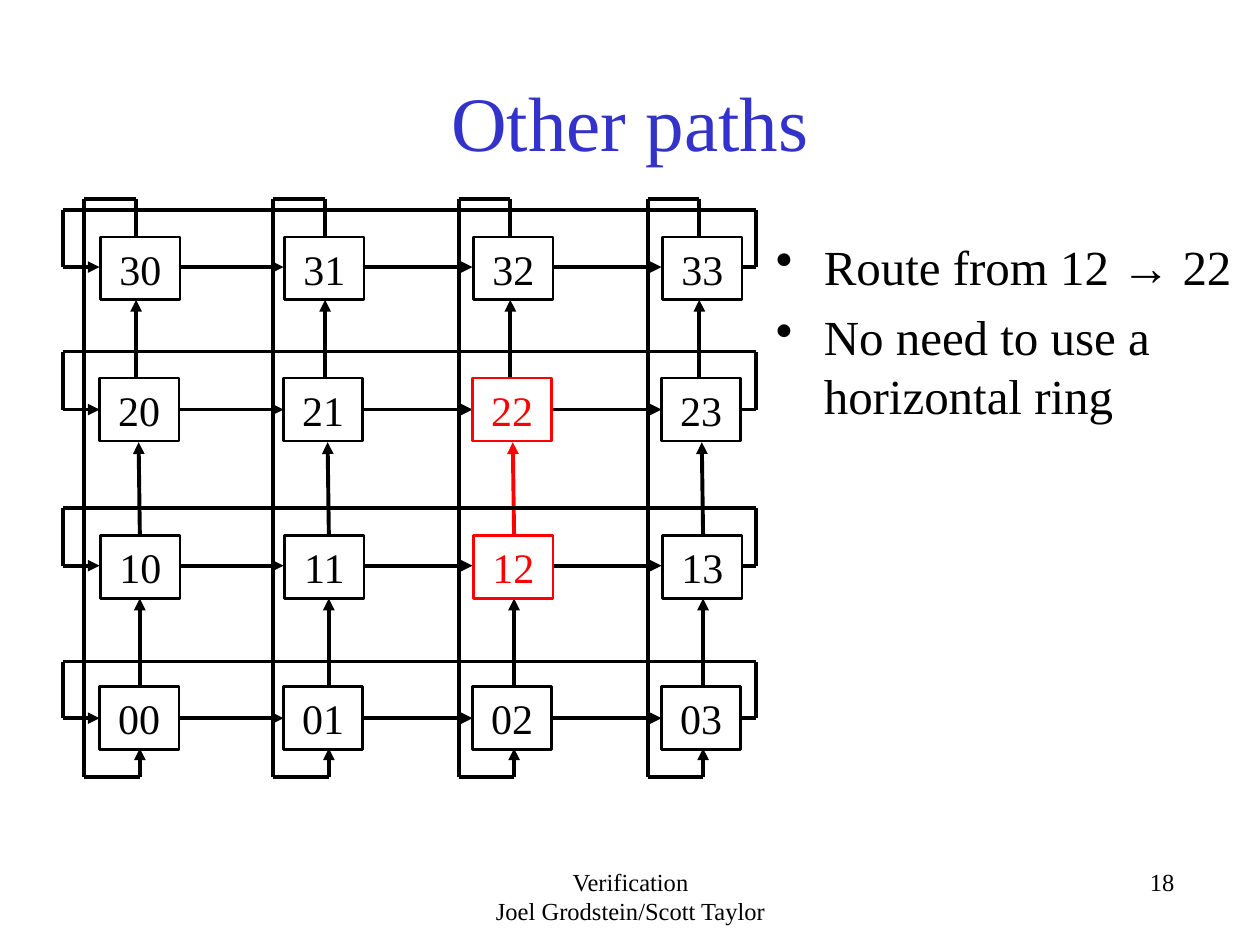
from typing import NamedTuple

from lxml import etree
from pptx import Presentation
from pptx.dml.color import RGBColor
from pptx.enum.shapes import MSO_CONNECTOR, MSO_SHAPE
from pptx.enum.text import MSO_ANCHOR, PP_ALIGN
from pptx.oxml.ns import qn
from pptx.util import Inches, Pt

STRAIGHT = MSO_CONNECTOR.STRAIGHT
RECTANGLE = MSO_SHAPE.RECTANGLE
MIDDLE = MSO_ANCHOR.MIDDLE
LEFT, CENTER, RIGHT = PP_ALIGN.LEFT, PP_ALIGN.CENTER, PP_ALIGN.RIGHT

FONT = "Times New Roman"
COLORS = {"black": "000000", "white": "FFFFFF", "route": "FF0000", "title": "3333CC"}
NODE_W, NODE_H = 0.63, 0.5
RING_LEFT, RING_RIGHT = 0.5, 6.0
RING_TOP, RING_BOTTOM = 1.58, 6.17
ROUTE = {"12", "22"}


class Row(NamedTuple):
    top: float
    shift: float
    link_y: float
    ring_y: float


class Column(NamedTuple):
    node_x: float
    ring_x: float


class Hop(NamedTuple):
    """Vertical arrow into a row; dx values are measured from the ring."""
    start_dx: float
    start_y: float
    end_dx: float
    end_y: float


ROWS = [
    Row(5.45, 0, 5.7, 5.25),
    Row(4.25, 0.01, 4.49, 4.03),
    Row(3.0, 0, 3.25, 2.79),
    Row(1.88, 0.01, 2.12, 1.67),
]
COLUMNS = [Column(0.79, 0.67), Column(2.25, 2.17), Column(3.75, 3.64), Column(5.25, 5.14)]
HOPS = [
    Hop(0.44, RING_BOTTOM, 0.44, 5.94),
    Hop(0.44, 5.45, 0.44, 4.75),
    Hop(0.44, 4.24, 0.43, 3.51),
    Hop(0.41, 3.14, 0.41, 2.38),
]


def style_text(tf, size: int, align, color: str = "black") -> None:
    for p in tf.paragraphs:
        p.alignment = align
        for r in p.runs:
            r.font.name = FONT
            r.font.size = Pt(size)
            r.font.color.rgb = RGBColor.from_string(COLORS[color])


def add_text(s, box: tuple, text: str, size: int, align):
    tf = s.shapes.add_textbox(*map(Inches, box)).text_frame
    tf.word_wrap = True
    tf.text = text
    style_text(tf, size, align)
    return tf


def add_line(s, x1: float, y1: float, x2: float, y2: float,
             arrow: bool = False, color: str = "black") -> None:
    line = s.shapes.add_connector(STRAIGHT, *map(Inches, (x1, y1, x2, y2)))
    line.line.color.rgb = RGBColor.from_string(COLORS[color])
    line.line.width = Pt(2.25)
    if arrow:
        etree.SubElement(line.line._get_or_add_ln(), qn("a:tailEnd"), type="triangle")
    etree.SubElement(line._element.spPr, qn("a:effectLst"))


def add_node(s, x: float, y: float, label: str) -> None:
    color = "route" if label in ROUTE else "black"
    sp = s.shapes.add_shape(RECTANGLE, *map(Inches, (x, y, NODE_W, NODE_H)))
    sp.shadow.inherit = False
    sp.fill.solid()
    sp.fill.fore_color.rgb = RGBColor.from_string(COLORS["white"])
    sp.line.color.rgb = RGBColor.from_string(COLORS[color])
    sp.line.width = Pt(1.5)
    tf = sp.text_frame
    tf.text = label
    tf.vertical_anchor = MIDDLE
    style_text(tf, 24, CENTER, color)


def add_row_ring(s, row: Row) -> None:
    y = row.link_y
    add_line(s, RING_RIGHT, y, COLUMNS[-1].node_x + NODE_W, y)
    add_line(s, RING_RIGHT, y, RING_RIGHT, row.ring_y)
    add_line(s, RING_RIGHT, row.ring_y, RING_LEFT, row.ring_y)
    add_line(s, RING_LEFT, row.ring_y, RING_LEFT, y)
    add_line(s, RING_LEFT, y, COLUMNS[0].node_x, y, arrow=True)
    for a, b in zip(COLUMNS, COLUMNS[1:]):
        add_line(s, a.node_x + NODE_W, y, b.node_x, y, arrow=True)


def add_column_ring(s, number: int, column: Column) -> None:
    x = column.ring_x
    top_x, bottom_x = x + 0.41, x + 0.44
    add_line(s, top_x, 2, top_x, RING_TOP)
    add_line(s, top_x, RING_TOP, x, RING_TOP)
    add_line(s, x, RING_TOP, x, RING_BOTTOM)
    add_line(s, x, RING_BOTTOM, bottom_x, RING_BOTTOM)
    for target, hop in enumerate(HOPS):
        on_route = {f"{target - 1}{number}", f"{target}{number}"} == ROUTE
        add_line(s, x + hop.start_dx, hop.start_y, x + hop.end_dx, hop.end_y,
                 arrow=True, color="route" if on_route else "black")


def add_bullets(s) -> None:
    tf = add_text(s, (6.06, 1.83, 3.91, 3.61),
                  "Route from 12 → 22\nNo need to use a horizontal ring", 28, LEFT)
    for p in tf.paragraphs:
        pPr = p._p.get_or_add_pPr()
        pPr.set("marL", str(Inches(0.38)))
        pPr.set("indent", str(-Inches(0.38)))
        etree.SubElement(pPr, qn("a:buChar"), char="•")
    tf.paragraphs[1].space_before = Pt(6.5)


def main() -> None:
    prs = Presentation()
    prs.slide_width, prs.slide_height = Inches(10), Inches(7.5)
    s = prs.slides.add_slide(prs.slide_layouts[5])

    title = s.shapes.title
    title.left, title.top, title.width, title.height = map(Inches, (0.75, 0.33, 8.5, 1.25))
    title.text_frame.text = "Other paths"
    title.text_frame.vertical_anchor = MIDDLE
    style_text(title.text_frame, 44, CENTER, "title")

    for number, column in enumerate(COLUMNS):
        add_column_ring(s, number, column)
    for row in ROWS:
        add_row_ring(s, row)
    for i, row in enumerate(ROWS):
        for j, column in enumerate(COLUMNS):
            add_node(s, column.node_x + row.shift, row.top, f"{i}{j}")

    add_bullets(s)
    add_text(s, (3.42, 6.83, 3.17, 0.5), "Verification\nJoel Grodstein/Scott Taylor", 14, CENTER)
    add_text(s, (6.25, 6.83, 3.17, 0.5), "18", 14, RIGHT)
    prs.save("out.pptx")


if __name__ == "__main__":
    main()
